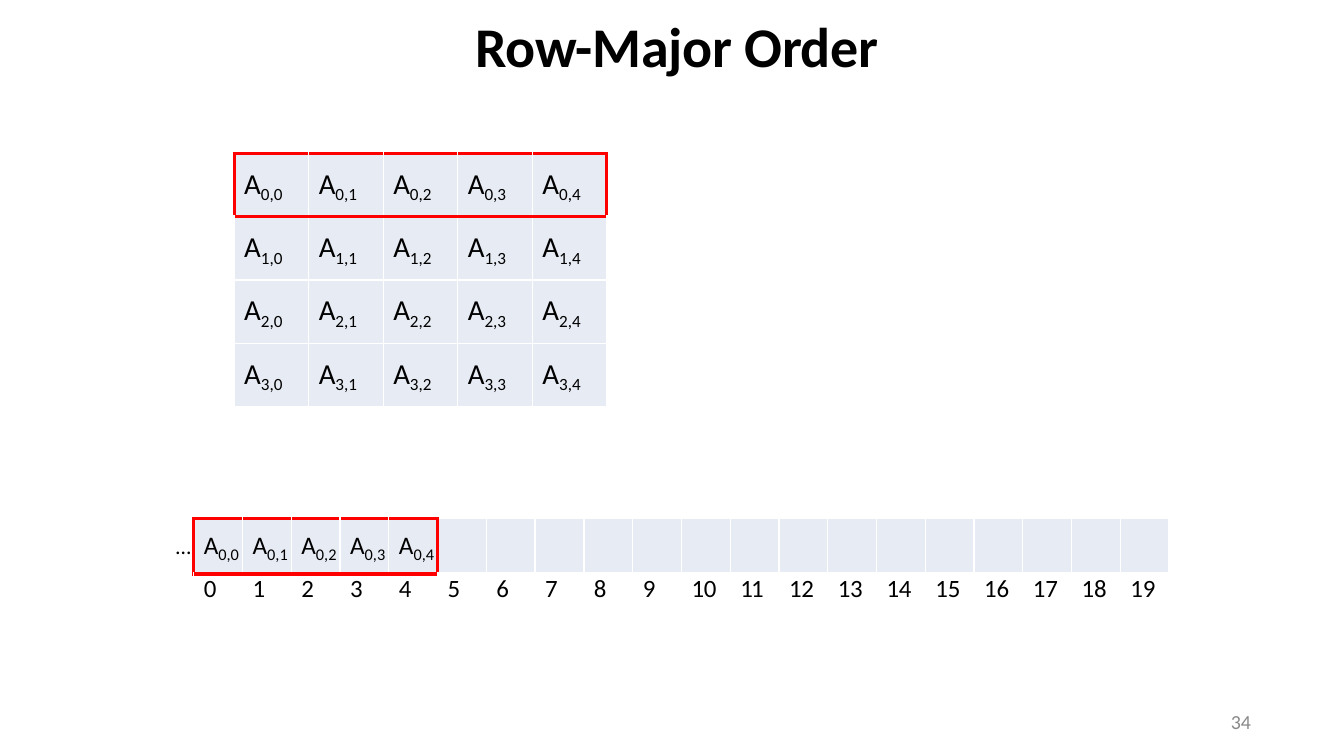
from dataclasses import dataclass

from lxml import etree
from pptx import Presentation
from pptx.dml.color import RGBColor
from pptx.enum.text import MSO_ANCHOR, MSO_AUTO_SIZE, PP_ALIGN
from pptx.oxml.ns import qn
from pptx.util import Inches, Pt

LEFT, MID, RIGHT = PP_ALIGN.LEFT, PP_ALIGN.CENTER, PP_ALIGN.RIGHT
TOP, HALF = MSO_ANCHOR.TOP, MSO_ANCHOR.MIDDLE
GROW = MSO_AUTO_SIZE.SHAPE_TO_FIT_TEXT
WIDE, HIGH = 12, 6.75
UNIT = WIDE / 1200
SPAN = 5


@dataclass(frozen=True)
class Theme:
    """Hold the colours and type sizes of the slide."""
    face: str = "Calibri"
    ink: str = "000000"
    gray: str = "898989"
    cell: str = "E7EBF3"
    rule: str = "FFFFFF"
    mark: str = "FF0000"
    head: float = 36
    dots: float = 14
    page: float = 12.8
    index: float = 16
    grid: tuple = (32, 11)
    strip: tuple = (28, 10.5)


THEME = Theme()


def put(item, vals):
    """Set each named value on an object."""
    for name, val in vals.items():
        setattr(item, name, val)


def size(count):
    """Turn grid units into a length."""
    return Inches(count * UNIT)


def write(para, runs, dent, tint=THEME.ink):
    """Fill a paragraph with runs of text, size and extra attributes."""
    para._p.get_or_add_pPr().set("marL", str(size(dent)))
    for text, pts, more in runs:
        run = para.add_run()
        run.text = text
        put(run.font, {"name": THEME.face, "size": Pt(pts), **more.get("font", {})})
        run.font.color.rgb = RGBColor.from_string(tint)
        for name, val in more.get("attr", {}).items():
            run.font._element.set(name, val)


def label(slide, box, runs, dent=1, tint=THEME.ink, align=LEFT, anchor=TOP, top=0):
    """Place a text box in the given box."""
    frame = slide.shapes.add_textbox(*map(size, box)).text_frame
    put(frame, {"word_wrap": True, "auto_size": GROW, "vertical_anchor": anchor,
                "margin_left": 0, "margin_right": 0, "margin_top": top,
                "margin_bottom": 0})
    para = frame.paragraphs[0]
    para.alignment = align
    write(para, runs, dent, tint)


def entry(row, col, pts):
    """Give the runs of one matrix element."""
    big, low = pts
    return [("A", big, {"attr": {"baseline": "13000"}}), (str(row), low, {}),
            (",", low, {"attr": {"spc": "-10"}}), (str(col), low, {})]


def edge(cell, sides):
    """Draw the four borders of a cell."""
    props = cell._tc.get_or_add_tcPr()
    for spot, (side, (tint, pts)) in enumerate(sides.items()):
        line = etree.Element(qn(f"a:ln{side}"), w=str(Pt(pts)))
        fill = etree.SubElement(line, qn("a:solidFill"))
        etree.SubElement(fill, qn("a:srgbClr"), val=tint)
        props.insert(spot, line)


def sides(row, col, over, under, rest):
    """Choose the borders that outline the first row of the matrix."""
    plain = (THEME.rule, 1)
    side, roof, floor = [(THEME.mark, pts) for pts in (2.25, over, under)]
    held = col < SPAN
    first = row == 0
    return {"L": side if first and col in (0, SPAN) else plain,
            "R": side if first and col == SPAN - 1 else plain,
            "T": (roof if first else floor) if held and row < 2 else plain,
            "B": (floor if held else (THEME.rule, rest)) if first else plain}


def table(slide, box, rows, cols, runs, lines, filled):
    """Place a table whose text comes from a rule for row and column."""
    grid = slide.shapes.add_table(rows, cols, *map(size, box)).table
    put(grid, {"first_row": False, "horz_banding": False})
    for col in grid.columns:
        col.width = size(box[2] / cols)
    for row in range(rows):
        grid.rows[row].height = size(box[3] / rows)
        for col in range(cols):
            cell = grid.cell(row, col)
            put(cell, {"margin_left": 0, "margin_right": 0,
                       "margin_top": 0, "margin_bottom": 0})
            if row < filled:
                cell.fill.solid()
                cell.fill.fore_color.rgb = RGBColor.from_string(THEME.cell)
            else:
                cell.fill.background()
            edge(cell, sides(row, col, *lines))
            write(cell.text_frame.paragraphs[0], runs(row, col), 9)


def matrix(slide, box):
    """Place the two-dimensional array."""
    table(slide, box, 4, SPAN, lambda row, col: entry(row, col, THEME.grid),
          (2.42, 2.42, 1), 4)


def strip(slide, box):
    """Place the memory cells with their indexes and the leading dots."""
    def runs(row, col):
        """Give the text of a memory cell or of its index."""
        if row == 0:
            return entry(row, col, THEME.strip) if col < SPAN else []
        gap = "-120" if col == 11 else "-10" if col > 9 else "0"
        return [(str(col), THEME.index, {"attr": {"spc": gap}})]

    left, top = box[:2]
    label(slide, (left - 17, top + 13, 17, 24), [("…", THEME.dots, {})])
    table(slide, box, 2, 4 * SPAN, runs, (2.69, 3.16, 3.16), 1)


def title(slide, box):
    """Place the heading."""
    bold = {"font": {"bold": True}, "attr": {"spc": "-20"}}
    label(slide, box, [("Row-Major Order", THEME.head, bold)], 246,
          align=MID, anchor=HALF)


def page(slide, box):
    """Place the page number."""
    label(slide, box, [("34", THEME.page, {})], 4, THEME.gray, RIGHT, HALF, size(1))


def main():
    """Build and save the slide."""
    deck = Presentation()
    put(deck, {"slide_width": Inches(WIDE), "slide_height": Inches(HIGH)})
    slide = deck.slides.add_slide(deck.slide_layouts[6])
    title(slide, (150, 13, 663, 55))
    matrix(slide, (209, 137, 333, 226))
    strip(slide, (173, 463, 871, 99))
    page(slide, (847, 626, 270, 36))
    deck.save("out.pptx")


if __name__ == "__main__":
    main()
